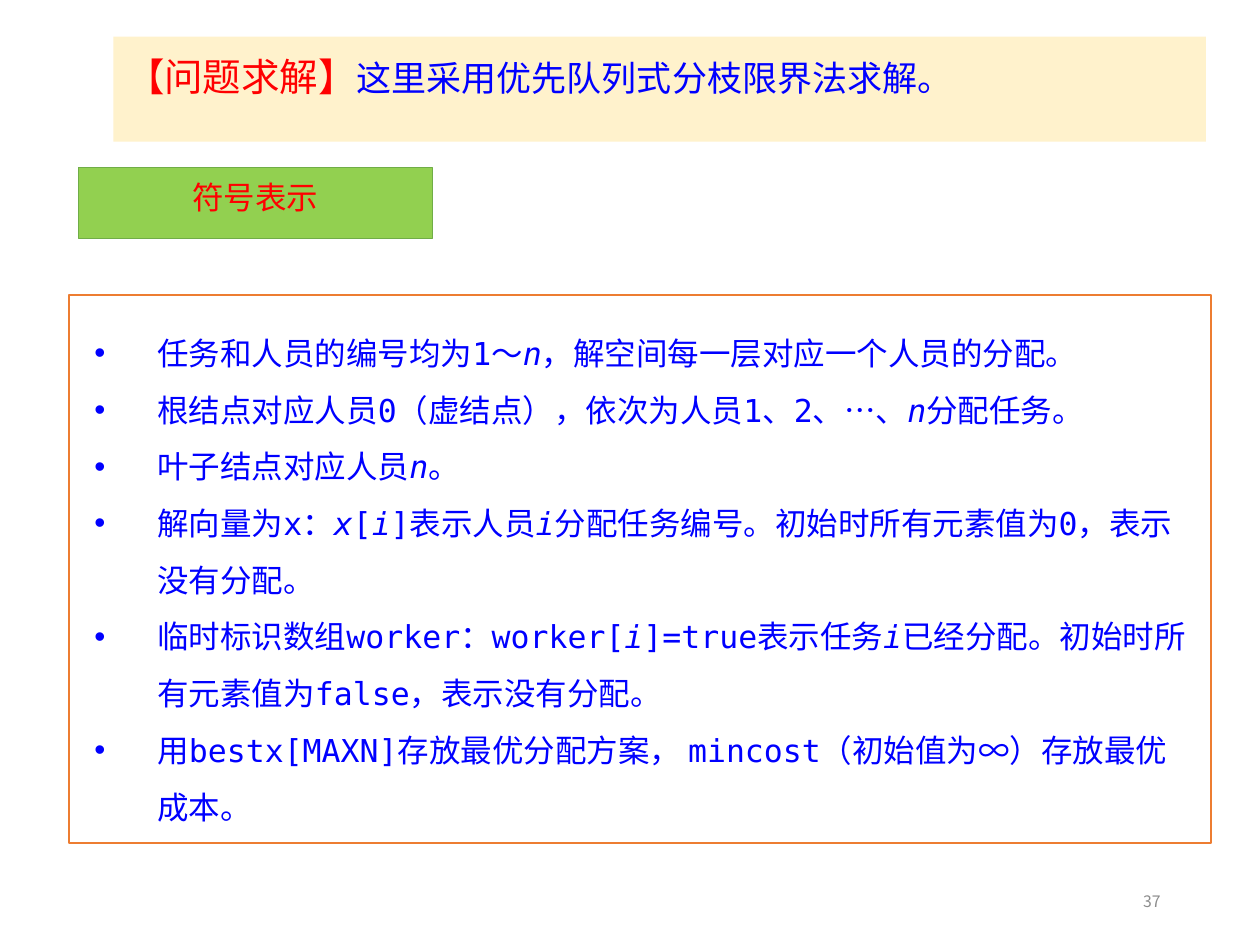
from dataclasses import dataclass

from lxml import etree
from pptx import Presentation
from pptx import util as u
from pptx.dml.color import RGBColor
from pptx.enum import shapes, text
from pptx.oxml import ns


@dataclass(frozen=True)
class Theme:
    mono: str = "DejaVu Sans Mono"
    sans: str = "Noto Sans CJK SC"
    red: str = "FF0000"
    blue: str = "0000FF"
    gray: str = "8C8C8C"
    cream: str = "FFF2CC"
    lime: str = "92D050"
    green: str = "70AD47"
    orange: str = "ED7D31"
    white: str = "FFFFFF"
    tag_size: int = 22
    title_size: int = 20
    body_size: int = 18
    number_size: int = 9


THEME = Theme()

# Asterisks enclose the italic variables
NOTATION = [
    "任务和人员的编号均为1～*n*，解空间每一层对应一个人员的分配。",
    "根结点对应人员0（虚结点），依次为人员1、2、…、*n*分配任务。",
    "叶子结点对应人员*n*。",
    "解向量为x：*x*[*i*]表示人员*i*分配任务编号。初始时所有元素值为0，表示没有分配。",
    "临时标识数组worker：worker[*i*]=true表示任务*i*已经分配。初始时所有元素值为false，表示没有分配。",
    "用bestx[MAXN]存放最优分配方案， mincost（初始值为∞）存放最优成本。",
]


def place(shape, left, top, width, height):
    shape.left, shape.top = u.Inches(left), u.Inches(top)
    shape.width, shape.height = u.Inches(width), u.Inches(height)


def paint(shape, color):
    shape.fill.solid()
    shape.fill.fore_color.rgb = RGBColor.from_string(color)


def set_frame(frame, side=0.1, edge=0.05, anchor=text.MSO_ANCHOR.TOP, grow=True):
    frame.word_wrap = True
    frame.vertical_anchor = anchor
    frame.margin_left, frame.margin_right = u.Inches(side), u.Inches(0.1)
    frame.margin_top = frame.margin_bottom = u.Inches(edge)
    sizing = text.MSO_AUTO_SIZE
    frame.auto_size = sizing.SHAPE_TO_FIT_TEXT if grow else sizing.NONE


def add_span(para, words, size, color, face, italic=False):
    span = para.add_run()
    span.text = words
    font = span.font
    font.name, font.size = face, u.Pt(size)
    font.bold, font.italic = False, italic
    font.color.rgb = RGBColor.from_string(color)
    # Chinese characters use the sans face
    east_asian = etree.SubElement(span._r.get_or_add_rPr(), ns.qn("a:ea"))
    east_asian.set("typeface", THEME.sans)


def add_panel(page, bounds, fill, line, weight):
    box = page.shapes.add_shape(
        shapes.MSO_SHAPE.RECTANGLE, *(u.Inches(value) for value in bounds))
    box.shadow.inherit = False
    paint(box, fill)
    box.line.color.rgb = RGBColor.from_string(line)
    box.line.width = u.Pt(weight)
    return box


def add_title(page):
    title = page.shapes.title
    place(title, 0.9, 0.29, 8.67, 0.51)
    paint(title, THEME.cream)
    set_frame(title.text_frame)
    para = title.text_frame.paragraphs[0]
    para.alignment = text.PP_ALIGN.LEFT
    para.line_spacing = u.Pt(32)
    add_span(para, "【问题求解】", THEME.tag_size, THEME.red, THEME.mono)
    add_span(para, "这里采用优先队列式分枝限界法求解。",
             THEME.title_size, THEME.blue, THEME.mono)


def add_bullet(para):
    properties = para._p.get_or_add_pPr()
    properties.set("marL", str(u.Inches(0.5)))
    properties.set("indent", str(u.Inches(-0.5)))
    font = etree.SubElement(properties, ns.qn("a:buFont"))
    font.set("typeface", "Arial")
    bullet = etree.SubElement(properties, ns.qn("a:buChar"))
    bullet.set("char", "•")


def add_notation(page):
    box = add_panel(page, (0.55, 2.34, 9.06, 4.35), THEME.white, THEME.orange, 1)
    frame = box.text_frame
    set_frame(frame, side=0.2, edge=0.16)
    for index, sentence in enumerate(NOTATION):
        para = frame.add_paragraph() if index else frame.paragraphs[0]
        para.alignment = text.PP_ALIGN.LEFT
        para.line_spacing = 1.5
        add_bullet(para)
        for part, words in enumerate(sentence.split("*")):
            add_span(para, words, THEME.body_size, THEME.blue, THEME.mono,
                     italic=part % 2 == 1)


def add_label(page):
    box = add_panel(page, (0.62, 1.33, 2.81, 0.56), THEME.lime, THEME.green, 0.5)
    set_frame(box.text_frame, edge=0.08)
    para = box.text_frame.paragraphs[0]
    para.alignment = text.PP_ALIGN.CENTER
    add_span(para, "符号表示", THEME.body_size, THEME.red, THEME.sans)


def add_page_number(page):
    box = page.shapes.add_textbox(
        u.Inches(7.06), u.Inches(6.95), u.Inches(2.25), u.Inches(0.4))
    set_frame(box.text_frame, anchor=text.MSO_ANCHOR.MIDDLE, grow=False)
    para = box.text_frame.paragraphs[0]
    para.alignment = text.PP_ALIGN.RIGHT
    add_span(para, "37", THEME.number_size, THEME.gray, THEME.sans)


def main():
    deck = Presentation()
    deck.slide_width, deck.slide_height = u.Inches(10), u.Inches(7.5)
    page = deck.slides.add_slide(deck.slide_layouts[5])  # title only
    add_title(page)
    add_notation(page)
    add_label(page)
    add_page_number(page)
    deck.save("out.pptx")


if __name__ == "__main__":
    main()
